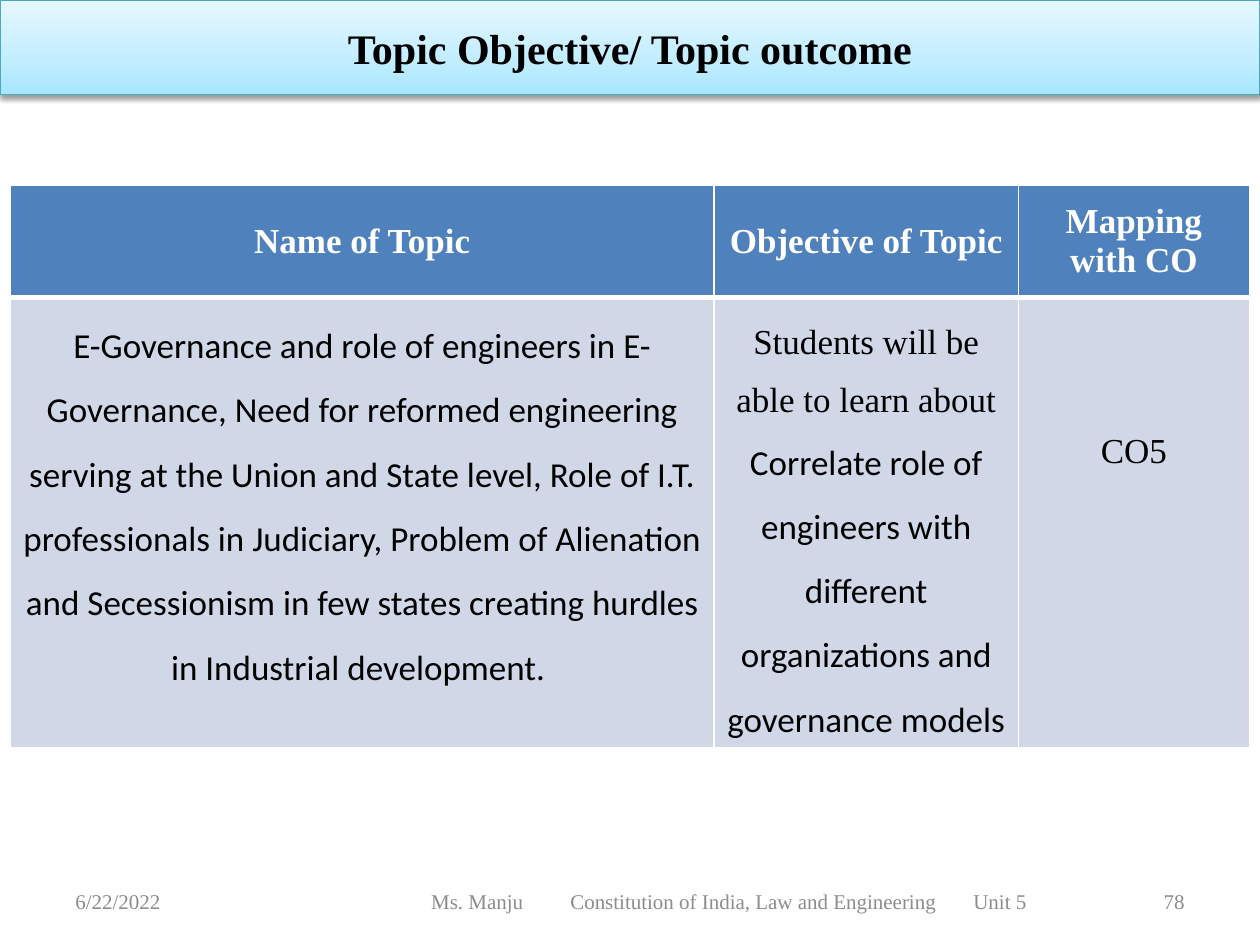
from dataclasses import dataclass

from pptx import Presentation
from pptx.dml.color import RGBColor
from pptx.enum.shapes import MSO_SHAPE as Kind
from pptx.enum.text import MSO_ANCHOR as Anchor, PP_ALIGN as Align
from pptx.oxml import parse_xml as to_xml
from pptx.oxml.ns import nsdecls
from pptx.util import Pt

SERIF, SANS = "Times New Roman", "Calibri"
NS = nsdecls("a")


def color(code):
    return RGBColor.from_string(code)


@dataclass
class Deck:
    slide: object
    ink: str = "000000"
    gray: str = "8C8C8C"
    head: str = "4F81BD"
    body: str = "D0D8E8"
    white: str = "FFFFFF"

    def style(self, run, size, tint, face=SERIF, bold=False):
        font = run.font
        font.name, font.size, font.bold = face, Pt(size), bold
        font.color.rgb = color(tint)

    def banner(self, text, width, height):
        shape = self.slide.shapes.add_shape(Kind.RECTANGLE, 0, 0, Pt(width), Pt(height))
        stops = ((0, "A7E6FF"), (35, "C1EDFF"), (100, "E7F8FF"))
        marks = "".join(f'<a:gs pos="{pos * 1000}"><a:srgbClr val="{code}"/></a:gs>'
                        for pos, code in stops)
        props = shape._element.spPr
        props.append(to_xml(f'<a:gradFill {NS} rotWithShape="1"><a:gsLst>{marks}</a:gsLst>'
                            '<a:lin ang="16200000" scaled="0"/></a:gradFill>'))
        shape.line.color.rgb = color("46AAC5")
        shape.line.width = Pt(0.75)
        props.append(to_xml(
            f'<a:effectLst {NS}><a:outerShdw blurRad="{Pt(3.1)}" dist="{Pt(1.6)}" '
            'dir="5400000" rotWithShape="0"><a:srgbClr val="000000">'
            '<a:alpha val="38000"/></a:srgbClr></a:outerShdw></a:effectLst>'))
        frame = shape.text_frame
        frame.text = text
        frame.vertical_anchor = Anchor.MIDDLE
        par = frame.paragraphs[0]
        par.alignment = Align.CENTER
        self.style(par.runs[0], 24, self.ink, bold=True)

    def footer(self, text, left, width, align=Align.LEFT, tabs=()):
        box = self.slide.shapes.add_textbox(Pt(left), Pt(500.4), Pt(width), Pt(28.8))
        frame = box.text_frame
        frame.word_wrap = True
        frame.vertical_anchor = Anchor.MIDDLE
        frame.text = text
        par = frame.paragraphs[0]
        par.alignment = align
        if tabs:
            stops = "".join(f'<a:tab pos="{Pt(tab)}" algn="l"/>' for tab in tabs)
            par._p.get_or_add_pPr().append(to_xml(f"<a:tabLst {NS}>{stops}</a:tabLst>"))
        for run in par.runs:
            self.style(run, 12, self.gray)

    def grid(self, left, top, cols, rows):
        frame = self.slide.shapes.add_table(len(rows), len(cols), Pt(left), Pt(top),
                                            Pt(sum(cols)), Pt(sum(rows)))
        table = frame.table
        table.first_row = table.horz_banding = False
        for col, width in zip(table.columns, cols):
            col.width = Pt(width)
        for row, height in zip(table.rows, rows):
            row.height = Pt(height)
        return table

    def cell(self, cell, parts, fill, tint, bold=False, space=None,
             anchor=Anchor.MIDDLE, under=1):
        """Fill a cell with (text, face) parts; under is its bottom border width."""
        par = cell.text_frame.paragraphs[0]
        par.alignment = Align.CENTER
        par.line_spacing = space
        for text, face in parts:
            run = par.add_run()
            run.text = text
            self.style(run, 20, tint, face, bold)
        cell.vertical_anchor = anchor
        props = cell._tc.get_or_add_tcPr()
        for i, (side, width) in enumerate(zip("LRTB", (1, 1, 1, under))):
            props.insert(i, to_xml(
                f'<a:ln{side} {NS} w="{Pt(width)}"><a:solidFill>'
                f'<a:srgbClr val="{self.white}"/></a:solidFill></a:ln{side}>'))
        cell.fill.solid()
        cell.fill.fore_color.rgb = color(fill)


def main():
    prs = Presentation()
    prs.slide_width, prs.slide_height = Pt(720), Pt(540)
    deck = Deck(prs.slides.add_slide(prs.slide_layouts[6]))

    deck.banner("Topic Objective/ Topic outcome", 720, 54)

    table = deck.grid(6, 106, (402, 174, 132), (64, 257))
    for i, name in enumerate(("Name of Topic", "Objective of Topic", "Mapping with CO")):
        deck.cell(table.cell(0, i), [(name, SERIF)], deck.head, deck.white,
                  bold=True, under=3)
    topic = ("E-Governance and role of engineers in E-Governance, Need for reformed "
             "engineering serving at the Union and State level, Role of I.T. "
             "professionals in Judiciary, Problem of Alienation and Secessionism in "
             "few states creating hurdles in Industrial development. ")
    aim = [("Students will be able to learn about ", SERIF),
           ("Correlate role of engineers with different organizations and "
            "governance models", SANS)]
    deck.cell(table.cell(1, 0), [(topic, SANS)], deck.body, deck.ink,
              space=1.5, anchor=Anchor.TOP)
    deck.cell(table.cell(1, 1), aim, deck.body, deck.ink, space=1.5)
    code = table.cell(1, 2)
    deck.cell(code, [("CO5", SERIF)], deck.body, deck.ink, anchor=Anchor.TOP)
    code.margin_top = Pt(77)

    deck.footer("6/22/2022", 36, 168)
    deck.footer("Ms. Manju\tConstitution of India, Law and Engineering\tUnit 5",
                194.4, 399.6, tabs=(79.5, 309.8))
    deck.slide.shapes[-1].text_frame.margin_left = Pt(52)
    deck.footer("78", 516, 168, Align.RIGHT)

    prs.save("out.pptx")


if __name__ == "__main__":
    main()
